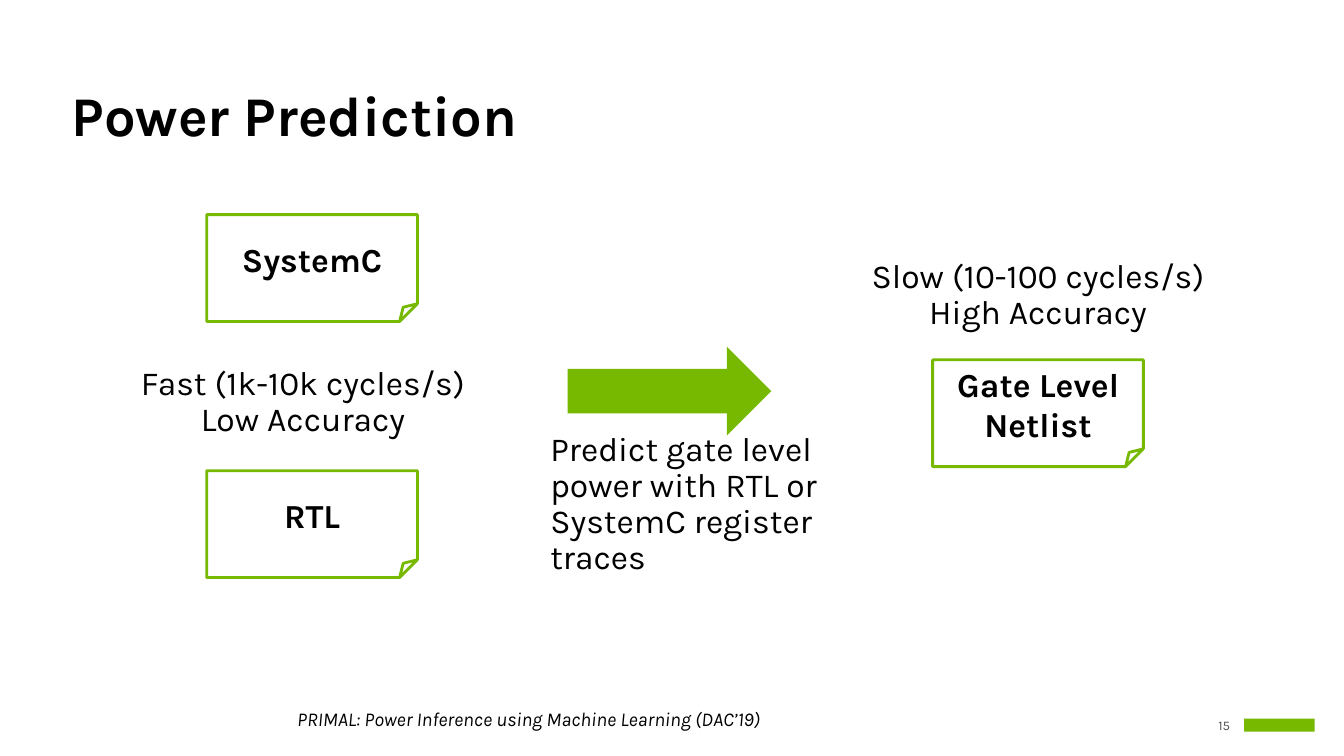
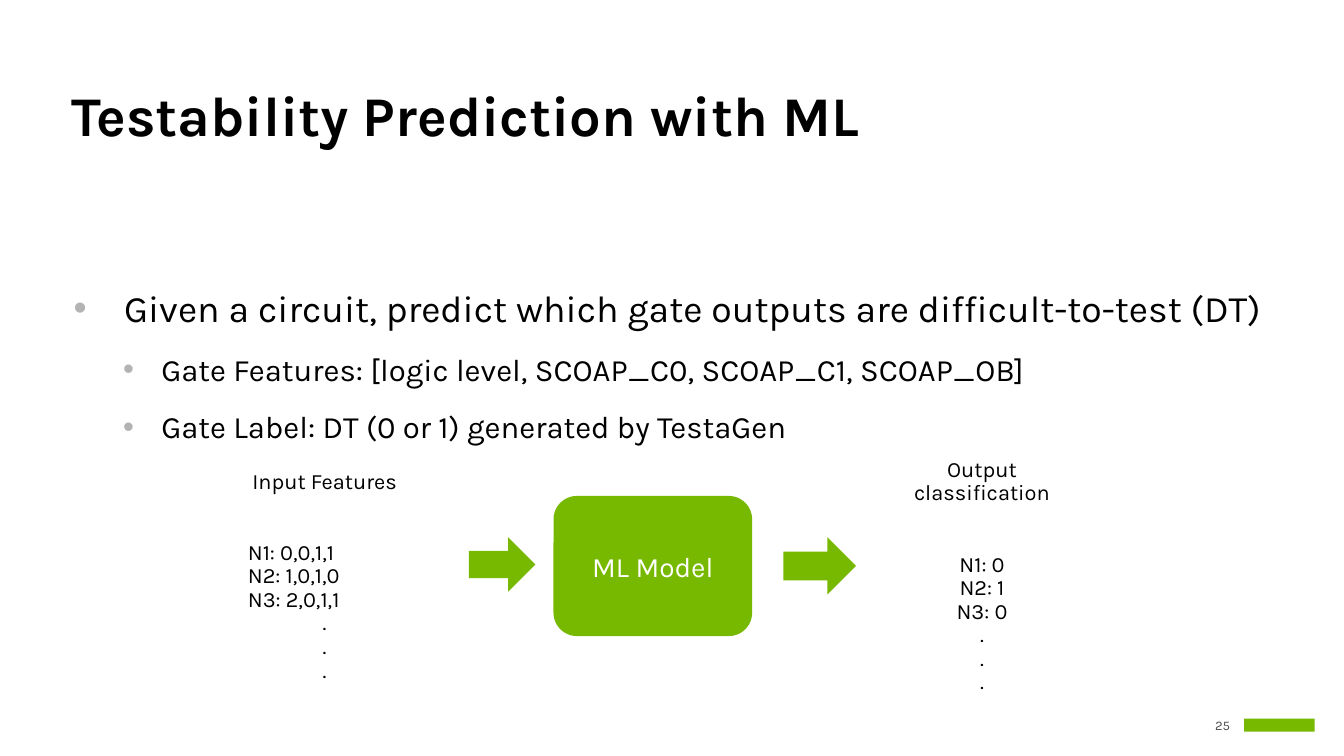
import pptx
import pptx.dml.color
import pptx.enum.shapes
import pptx.enum.text
import pptx.oxml.ns
import pptx.util
import lxml.etree

Inches = pptx.util.Inches
Pt = pptx.util.Pt
RGBColor = pptx.dml.color.RGBColor
Shape = pptx.enum.shapes.MSO_SHAPE
Align = pptx.enum.text.PP_ALIGN
Anchor = pptx.enum.text.MSO_ANCHOR
qn = pptx.oxml.ns.qn

GREEN = RGBColor(0x76, 0xB9, 0x00)
BLACK = RGBColor(0x00, 0x00, 0x00)
WHITE = RGBColor(0xFF, 0xFF, 0xFF)
GRAY = RGBColor(0x50, 0x50, 0x50)
BULLET_GRAY = RGBColor(0xB3, 0xB3, 0xB3)
FONT = "Karla"
TITLE_ONLY, TITLE_AND_BODY = 5, 1
TITLE_BOX = (0.61, 0.81, 12.12, 0.71)
BODY_BOX = (0.63, 2.56, 12.09, 4.52)
DOCUMENT_SIZE = (2.09, 1.06)


def place(shape, box):
    shape.left, shape.top, shape.width, shape.height = map(Inches, box)


def write_text(frame, lines, size=24, color=BLACK, bold=False, italic=False,
               align=Align.LEFT, anchor=Anchor.MIDDLE, spacing=0.9):
    frame.word_wrap = True
    frame.auto_size = pptx.enum.text.MSO_AUTO_SIZE.NONE
    frame.vertical_anchor = anchor
    frame.text = "\n".join(lines)
    for paragraph in frame.paragraphs:
        paragraph.alignment = align
        paragraph.line_spacing = spacing
        paragraph.space_before = Pt(0)
        for run in paragraph.runs:
            font = run.font
            font.name, font.size = FONT, Pt(size)
            font.bold, font.italic = bold, italic
            font.color.rgb = color
    return frame


def add_text(slide, box, lines, **text_format):
    text_box = slide.shapes.add_textbox(*map(Inches, box))
    return write_text(text_box.text_frame, lines, **text_format)


def add_filled(slide, kind, box):
    shape = slide.shapes.add_shape(kind, *map(Inches, box))
    shape.shadow.inherit = False
    shape.fill.solid()
    shape.fill.fore_color.rgb = GREEN
    shape.line.fill.background()
    return shape


def add_document(slide, left, top, label):
    shape = slide.shapes.add_shape(
        Shape.FOLDED_CORNER, *map(Inches, (left, top, *DOCUMENT_SIZE)))
    shape.shadow.inherit = False
    shape.fill.background()
    shape.line.color.rgb = GREEN
    shape.line.width = Pt(2)
    write_text(shape.text_frame, [label], bold=True, align=Align.CENTER, spacing=1.0)


def set_bullet(paragraph, margin, hanging):
    properties = paragraph._p.get_or_add_pPr()
    properties.set("marL", str(Inches(margin)))
    properties.set("indent", str(-Inches(hanging)))
    color = lxml.etree.SubElement(properties, qn("a:buClr"))
    lxml.etree.SubElement(color, qn("a:srgbClr"), val=str(BULLET_GRAY))
    lxml.etree.SubElement(properties, qn("a:buFont"), typeface="Arial")
    lxml.etree.SubElement(properties, qn("a:buChar"), char="•")


def fill_body(slide, items):
    body = slide.placeholders[1]
    place(body, BODY_BOX)
    frame = write_text(body.text_frame, [text for text, level in items],
                       anchor=Anchor.TOP, spacing=1.5)
    for paragraph, (text, level) in zip(frame.paragraphs, items):
        paragraph.level = level
        set_bullet(paragraph, *((0.5, 0.5), (0.87, 0.38))[level])
        paragraph.runs[0].font.size = Pt((26.7, 22.2)[level])
        if level:
            paragraph.space_before = Pt(1)


def add_slide(presentation, layout, title, number):
    slide = presentation.slides.add_slide(presentation.slide_layouts[layout])
    place(slide.shapes.title, TITLE_BOX)
    write_text(slide.shapes.title.text_frame, [title], size=40, bold=True,
               anchor=Anchor.BOTTOM)
    frame = add_text(slide, (11.86, 7.09, 0.34, 0.2), [number], size=9.4,
                     color=GRAY, align=Align.RIGHT, spacing=1.0)
    frame.margin_left = frame.margin_right = frame.margin_top = frame.margin_bottom = 0
    add_filled(slide, Shape.RECTANGLE, (12.34, 7.13, 0.7, 0.13))
    return slide


def add_samples(slide, left, width, heading, samples, align):
    frame = add_text(slide, (left, 4.61, width, 2.22), [heading, *samples, *"..."],
                     size=15.6, align=Align.CENTER)
    rows = frame.paragraphs[1:1 + len(samples)]
    rows[0].space_before = Pt(34)
    for paragraph in rows:
        paragraph.alignment = align


def build_power(presentation):
    slide = add_slide(presentation, TITLE_ONLY, "Power Prediction", "15")
    add_text(slide, (2.85, 6.96, 7.63, 0.34),
             ["PRIMAL: Power Inference using Machine Learning (DAC’19)"],
             size=14, italic=True, anchor=Anchor.TOP, spacing=1.0)
    for box, lines in (
        ((1.25, 3.58, 3.51, 0.83), ["Fast (1k-10k cycles/s)", "Low Accuracy"]),
        ((8.5, 2.52, 3.59, 0.83), ["Slow (10-100 cycles/s)", "High Accuracy"]),
    ):
        add_text(slide, box, lines, align=Align.CENTER)
    add_filled(slide, Shape.RIGHT_ARROW, (5.63, 3.44, 2.02, 0.88))
    goal = add_text(slide, (5.36, 4.41, 3.75, 1.19),
                    ["Predict gate level power with RTL or SystemC register traces"])
    goal.margin_right = Inches(0.6)
    for left, top, label in ((2.05, 2.13, "SystemC"), (2.05, 4.67, "RTL"),
                             (9.25, 3.57, "Gate Level Netlist")):
        add_document(slide, left, top, label)


def build_testability(presentation):
    slide = add_slide(presentation, TITLE_AND_BODY, "Testability Prediction with ML", "25")
    fill_body(slide, [
        ("Given a circuit, predict which gate outputs are difficult-to-test (DT)", 0),
        ("Gate Features: [logic level, SCOAP_C0, SCOAP_C1, SCOAP_OB]", 1),
        ("Gate Label: DT (0 or 1) generated by TestaGen", 1),
    ])
    add_samples(slide, 2.36, 1.72, "Input Features",
                ["N1: 0,0,1,1", "N2: 1,0,1,0", "N3: 2,0,1,1"], Align.LEFT)
    add_samples(slide, 8.63, 2.22, "Output classification",
                ["N1: 0", "N2: 1", "N3: 0"], Align.CENTER)
    for box in ((4.65, 5.33, 0.66, 0.54), (7.77, 5.33, 0.72, 0.57)):
        add_filled(slide, Shape.RIGHT_ARROW, box)
    model = add_filled(slide, Shape.ROUNDED_RECTANGLE, (5.49, 4.92, 1.97, 1.39))
    write_text(model.text_frame, ["ML Model"], size=20, color=WHITE,
               align=Align.CENTER, spacing=1.0)


def main():
    presentation = pptx.Presentation()
    presentation.slide_width = Inches(13.33)
    presentation.slide_height = Inches(7.5)
    build_power(presentation)
    build_testability(presentation)
    presentation.save("out.pptx")


if __name__ == "__main__":
    main()
